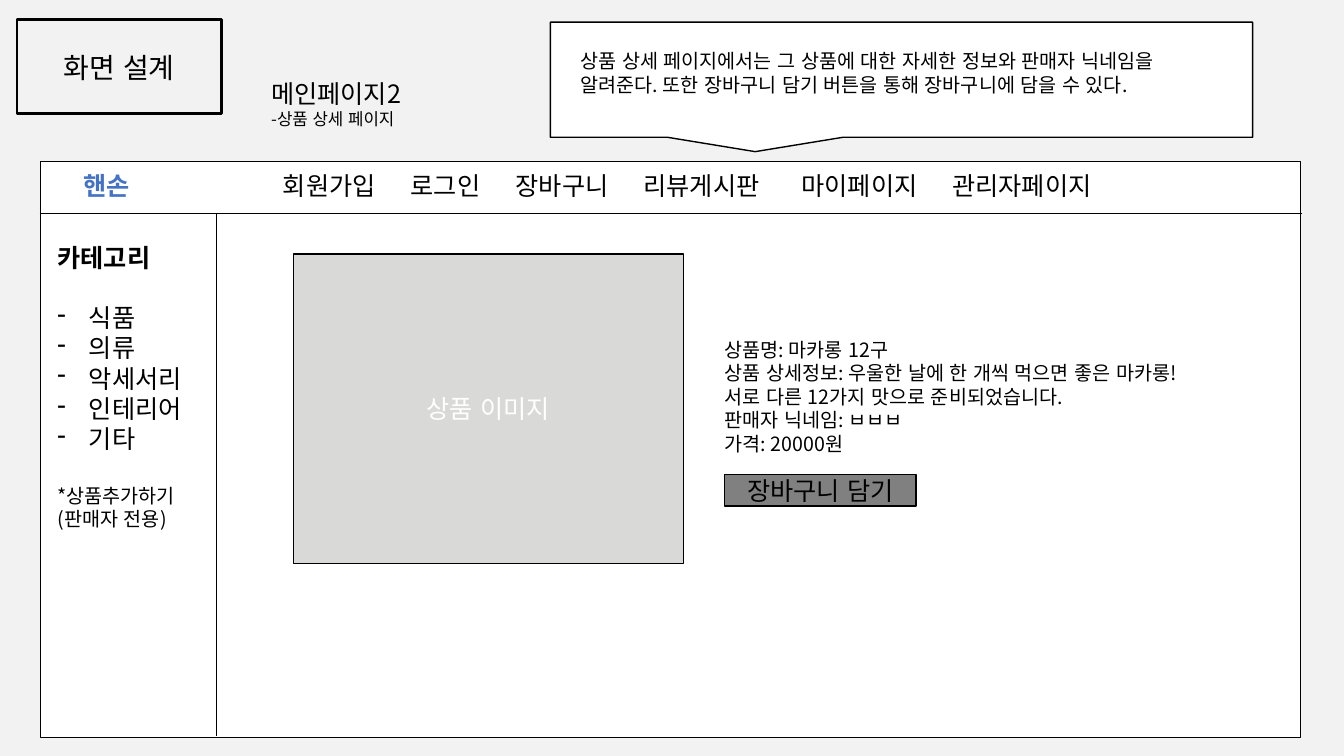
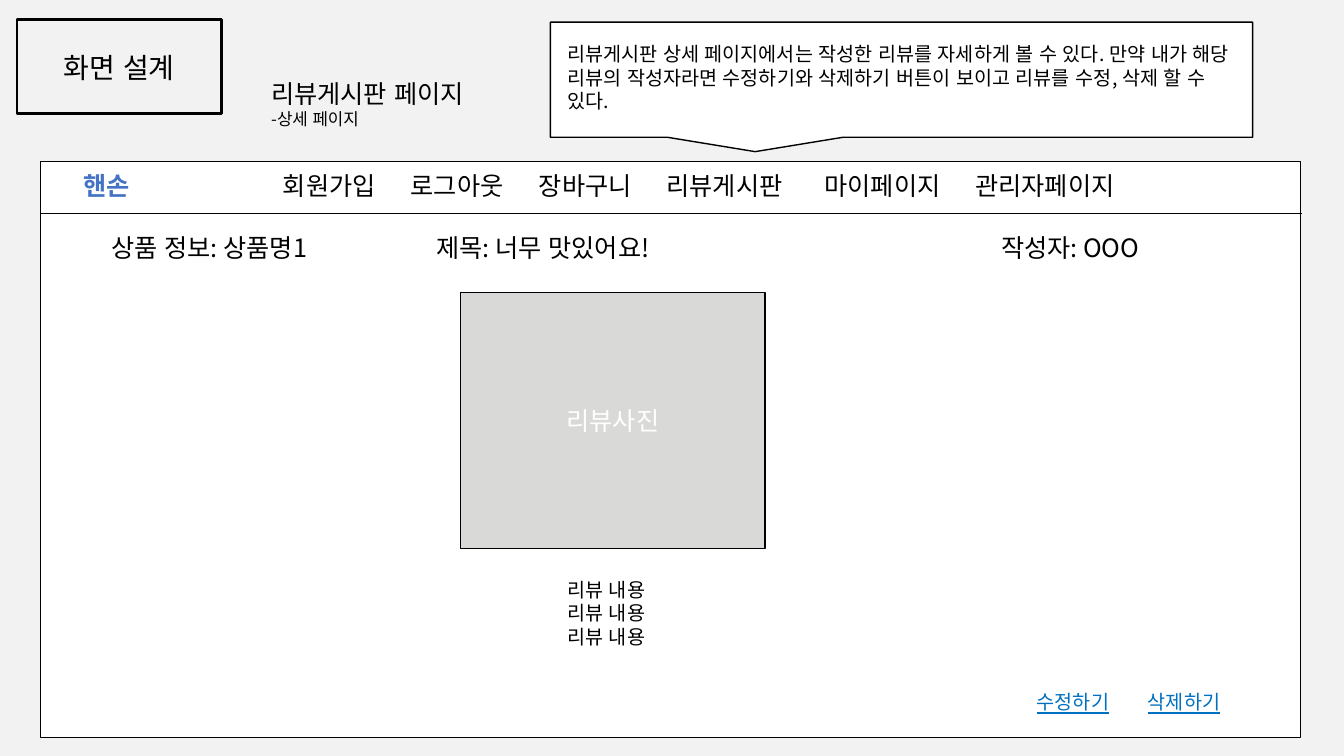
from lxml import etree
from pptx import Presentation
from pptx.dml.color import RGBColor
from pptx.enum.lang import MSO_LANGUAGE_ID
from pptx.enum.shapes import MSO_CONNECTOR, MSO_SHAPE
from pptx.enum.text import MSO_ANCHOR, MSO_AUTO_SIZE, PP_ALIGN
from pptx.oxml.ns import qn
from pptx.util import Cm, Pt

RECTANGLE = MSO_SHAPE.RECTANGLE
CALLOUT = MSO_SHAPE.RECTANGULAR_CALLOUT
STRAIGHT = MSO_CONNECTOR.STRAIGHT
LEFT, CENTER = PP_ALIGN.LEFT, PP_ALIGN.CENTER
TOP, MIDDLE = MSO_ANCHOR.TOP, MSO_ANCHOR.MIDDLE
NO_AUTOFIT = MSO_AUTO_SIZE.NONE
KOREAN = MSO_LANGUAGE_ID.KOREAN

FONT = "Noto Sans CJK KR"
BLACK, WHITE = "000000", "FFFFFF"
BACKGROUND = "F2F2F2"
IMAGE_GRAY, BUTTON_GRAY = "D9DAD8", "808080"
BRAND_BLUE, LINK_BLUE = "4472C4", "0070C0"
LINE_HEIGHT = 1.2
TITLE_ONLY = 5

SYLLABLE = 0.58
MENU_TABS = (5.03, 8.25, 10.9, 14.12, 18.1, 21.9)
BULLET_INDENT = 0.79


def rgb(value):
    """Return the colour of a hex string."""
    return RGBColor.from_string(value)


def add_run(paragraph, text, size=18, color=BLACK, bold=False, underline=False):
    """Append one formatted run to a paragraph."""
    run = paragraph.add_run()
    run.text = text
    font = run.font
    font.size = Pt(size)
    font.bold = bold
    font.underline = underline
    font.color.rgb = rgb(color)
    font.name = FONT
    font.language_id = KOREAN
    east_asian = etree.SubElement(font._element, qn("a:ea"))
    east_asian.set("typeface", FONT)


def add_bullet(paragraph, character):
    """Give a paragraph a hanging bullet character."""
    properties = paragraph._p.get_or_add_pPr()
    properties.set("marL", str(Cm(BULLET_INDENT)))
    properties.set("indent", str(-Cm(BULLET_INDENT)))
    etree.SubElement(properties, qn("a:buChar")).set("char", character)


def add_tabs(paragraph, positions):
    """Set left tab stops, given in centimetres."""
    properties = paragraph._p.get_or_add_pPr()
    tab_list = etree.SubElement(properties, qn("a:tabLst"))
    for position in positions:
        tab = etree.SubElement(tab_list, qn("a:tab"))
        tab.set("pos", str(Cm(position)))
        tab.set("algn", "l")


def write_paragraph(frame, text, align=LEFT, size=18, space_before=0,
                    bullet=None, tabs=(), **run_format):
    """Write a string, or a list of (text, format) runs, as the next paragraph."""
    paragraph = frame.paragraphs[-1]
    if paragraph.runs:
        paragraph = frame.add_paragraph()
    paragraph.alignment = align
    paragraph.line_spacing = Pt(size * LINE_HEIGHT)
    paragraph.space_before = Pt(space_before)
    if bullet:
        add_bullet(paragraph, bullet)
    if tabs:
        add_tabs(paragraph, tabs)
    runs = [(text, {})] if isinstance(text, str) else text
    for run_text, changes in runs:
        add_run(paragraph, run_text, size=size, **{**run_format, **changes})


def prepare_frame(shape, anchor):
    """Make a shape's text wrap at a fixed size and return its frame."""
    frame = shape.text_frame
    frame.word_wrap = True
    frame.auto_size = NO_AUTOFIT
    frame.vertical_anchor = anchor
    return frame


def add_text(slide, left, top, width, height, lines, **text_format):
    """Add a text box with one paragraph for each line."""
    box = slide.shapes.add_textbox(Cm(left), Cm(top), Cm(width), Cm(height))
    frame = prepare_frame(box, TOP)
    for line in lines:
        write_paragraph(frame, line, **text_format)
    return frame


def add_box(slide, left, top, width, height, fill=None, weight=1,
            kind=RECTANGLE, text=None, **text_format):
    """Add an outlined shape with an optional centred label."""
    box = slide.shapes.add_shape(kind, Cm(left), Cm(top), Cm(width), Cm(height))
    box.shadow.inherit = False
    if fill:
        box.fill.solid()
        box.fill.fore_color.rgb = rgb(fill)
    else:
        box.fill.background()
    box.line.color.rgb = rgb(BLACK)
    box.line.width = Pt(weight)
    if text:
        write_paragraph(prepare_frame(box, MIDDLE), text, align=CENTER, **text_format)


def add_line(slide, left, top, right, bottom):
    """Add a thin black divider."""
    line = slide.shapes.add_connector(STRAIGHT, Cm(left), Cm(top), Cm(right), Cm(bottom))
    line.line.color.rgb = rgb(BLACK)
    line.line.width = Pt(0.5)
    etree.SubElement(line._element.spPr, qn("a:effectLst"))


def add_title(slide, title, subtitle):
    """Place the page title and its smaller second line."""
    shape = slide.shapes.title
    shape.left, shape.top = Cm(6.58), Cm(1.85)
    shape.width, shape.height = Cm(9.25), Cm(1.55)
    frame = prepare_frame(shape, TOP)
    write_paragraph(frame, title)
    write_paragraph(frame, subtitle, size=12)


def add_menu(slide, session_label):
    """Add the site menu; a longer session label moves the entries after it."""
    entries = ("회원가입", session_label, "장바구니", "리뷰게시판", "마이페이지", "관리자페이지")
    shift = (len(session_label) - len("로그인")) * SYLLABLE
    tabs = MENU_TABS[:2] + tuple(tab + shift for tab in MENU_TABS[2:])
    menu = "".join("\t" + entry for entry in entries)
    site_name = ("핸손", {"color": BRAND_BLUE, "bold": True})
    add_text(slide, 1.85, 4.17, 30.94, 1.02, [[site_name, (menu, {})]], tabs=tabs)


def add_screen(presentation, title, subtitle, session_label):
    """Add a slide with the title, callout, page frame and menu."""
    slide = presentation.slides.add_slide(presentation.slide_layouts[TITLE_ONLY])
    add_title(slide, title, subtitle)
    add_box(slide, 0.43, 0.5, 5.15, 2.37, weight=2, text="화면 설계", size=20)
    add_box(slide, 1.02, 4.07, 31.75, 14.52, fill=WHITE)
    add_box(slide, 13.87, 0.56, 17.7, 2.9, fill=WHITE, kind=CALLOUT)
    add_line(slide, 1, 5.38, 32.81, 5.38)
    add_menu(slide, session_label)
    return slide


def add_categories(slide):
    """Add the category side bar and its divider."""
    add_line(slide, 5.46, 5.38, 5.46, 18.55)
    frame = add_text(slide, 1.2, 5.97, 4.19, 8.64, ["카테고리"], bold=True)
    blank_line = 18 * LINE_HEIGHT
    for index, category in enumerate(("식품", "의류", "악세서리", "인테리어", "기타")):
        write_paragraph(frame, category, bullet="-",
                        space_before=0 if index else blank_line)
    write_paragraph(frame, "*상품추가하기", size=14, space_before=blank_line)
    write_paragraph(frame, "(판매자 전용)", size=14)


def add_product_screen(presentation):
    """Build the product detail page."""
    slide = add_screen(presentation, "메인페이지2", "-상품 상세 페이지", "로그인")
    add_text(slide, 14.38, 1.12, 16.71, 1.45, [
        "상품 상세 페이지에서는 그 상품에 대한 자세한 정보와 판매자 닉네임을 "
        "알려준다. 또한 장바구니 담기 버튼을 통해 장바구니에 담을 수 있다."], size=14)
    add_categories(slide)
    add_box(slide, 7.39, 6.4, 9.83, 7.8, fill=IMAGE_GRAY, text="상품 이미지", color=WHITE)
    add_text(slide, 18.01, 8.38, 13.06, 3.84, [
        "상품명: 마카롱 12구",
        "상품 상세정보: 우울한 날에 한 개씩 먹으면 좋은 마카롱!",
        "서로 다른 12가지 맛으로 준비되었습니다.",
        "판매자 닉네임: ㅂㅂㅂ",
        "가격: 20000원"], size=14)
    add_box(slide, 18.26, 11.96, 4.83, 0.79, fill=BUTTON_GRAY, text="장바구니 담기")


def add_review_screen(presentation):
    """Build the review detail page."""
    slide = add_screen(presentation, "리뷰게시판 페이지", "-상세 페이지", "로그아웃")
    add_text(slide, 14.05, 0.94, 17.37, 2.06, [
        "리뷰게시판 상세 페이지에서는 작성한 리뷰를 자세하게 볼 수 있다. 만약 내가 "
        "해당 리뷰의 작성자라면 수정하기와 삭제하기 버튼이 보이고 리뷰를 수정, "
        "삭제 할 수 있다."], size=14)
    add_text(slide, 2.55, 5.74, 29.9, 1.02,
             ["상품 정보: 상품명1\t제목: 너무 맛있어요!\t작성자: OOO"], tabs=(8.19, 22.43))
    add_box(slide, 11.61, 7.37, 7.67, 6.45, fill=IMAGE_GRAY, text="리뷰사진", color=WHITE)
    add_text(slide, 14.05, 14.43, 4.85, 2.06, ["리뷰 내용"] * 3, size=14)
    underlined = {"underline": True}
    links = [("수정하기", underlined), ("\t", {}), ("삭제하기", underlined)]
    add_text(slide, 25.88, 17.27, 6.25, 0.86, [links], size=14, color=LINK_BLUE, tabs=(2.8,))


def main():
    """Build and save the presentation."""
    presentation = Presentation()
    presentation.slide_width, presentation.slide_height = Cm(33.87), Cm(19.05)
    background = presentation.slide_master.background.fill
    background.solid()
    background.fore_color.rgb = rgb(BACKGROUND)
    add_product_screen(presentation)
    add_review_screen(presentation)
    presentation.save("out.pptx")


main()
